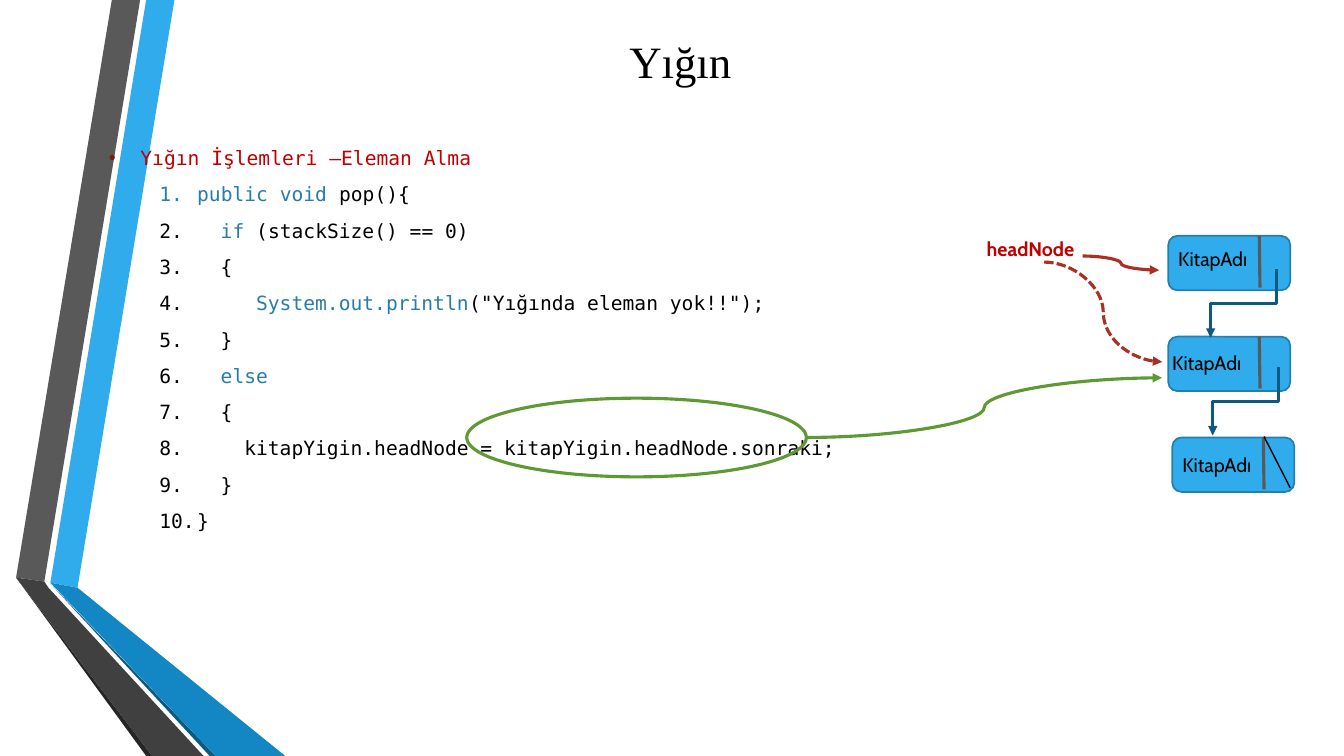
from dataclasses import dataclass

from lxml import etree
from pptx import Presentation
from pptx.dml.color import RGBColor
from pptx.enum.dml import MSO_LINE
from pptx.enum.shapes import MSO_CONNECTOR, MSO_SHAPE
from pptx.enum.text import MSO_ANCHOR, MSO_AUTO_SIZE, PP_ALIGN
from pptx.oxml.ns import qn
from pptx.util import Pt

LINE, BENT, CURVE = MSO_CONNECTOR.STRAIGHT, MSO_CONNECTOR.ELBOW, MSO_CONNECTOR.CURVE
DASH = MSO_LINE.SQUARE_DOT
ROUND, OVAL = MSO_SHAPE.ROUNDED_RECTANGLE, MSO_SHAPE.OVAL
MIDDLE, TOP = MSO_ANCHOR.MIDDLE, MSO_ANCHOR.TOP
CENTER, JUSTIFY = PP_ALIGN.CENTER, PP_ALIGN.JUSTIFY
FIXED = MSO_AUTO_SIZE.NONE


@dataclass(frozen=True)
class Theme:
    black: str = "000000"
    red: str = "C00000"
    rust: str = "A93023"
    wine: str = "712018"
    green: str = "5F9934"
    word: str = "277DA9"
    sky: str = "30ACEC"
    edge: str = "247FAF"
    blue: str = "1287C3"
    navy: str = "0C5A82"
    gray: str = "595959"
    dark: str = "404040"
    coal: str = "262626"
    serif: str = "Times New Roman"
    mono: str = "DejaVu Sans Mono"
    sans: str = "Cabin"
    head: float = 32
    text: float = 14
    thin: float = 1
    rim: float = 1.25
    bold: float = 2.25


T = Theme()

BANDS = [
    (T.sky, [(36, 416.2), (55.4, 419.8), (124.6, 0), (104.4, 0)]),
    (T.gray, [(100.1, 0), (79.9, 0), (11.5, 412.6), (31.7, 415.4)]),
    (T.coal, [(11.5, 412.6), (104.4, 540), (108.7, 540)]),
    (T.navy, [(36, 416.9), (149.8, 540), (154.1, 540)]),
    (T.blue, [(36, 416.2), (154.1, 540), (203.8, 540), (55.4, 419.8)]),
    (T.dark, [(145.4, 540), (34.6, 419.8), (31.7, 415.4), (11.5, 412.6), (108.7, 540)]),
]

CODE = [
    (0, [("public void ", T.word), ("pop(){", T.black)]),
    (2, [("if ", T.word), ("(stackSize() == 0)", T.black)]),
    (2, [("{", T.black)]),
    (5, [("System.out.println", T.word), ('("Yığında eleman yok!!");', T.black)]),
    (2, [("}", T.black)]),
    (2, [("else", T.word)]),
    (2, [("{", T.black)]),
    (4, [("kitapYigin.headNode = kitapYigin.headNode.sonraki;", T.black)]),
    (2, [("}", T.black)]),
    (0, [("}", T.black)]),
]

NODES = [
    (144.5, (0, 4.3), (77, 23.8)),
    (144.5, (-4.3, 6.5), (78.5, 21.6)),
    (147.4, (0, 7.2), None),
]


def rgb(code):
    return RGBColor.from_string(code)


def say(par, text, color=T.black, size=T.text, face=T.sans, bold=False):
    run = par.add_run()
    run.text = text
    font = run.font
    font.size, font.name, font.bold = Pt(size), face, bold
    font.color.rgb = rgb(color)


def place(shape, box):
    shape.left, shape.top, shape.width, shape.height = map(Pt, box)


def label(slide, box, text, **style):
    item = slide.shapes.add_textbox(*map(Pt, box))
    item.text_frame.word_wrap = True
    say(item.text_frame.paragraphs[0], text, **style)


def paint(shape, fill=None, line=None, width=T.rim):
    shape.shadow.inherit = False
    if fill:
        shape.fill.solid()
        shape.fill.fore_color.rgb = rgb(fill)
    else:
        shape.fill.background()
    if line:
        shape.line.color.rgb = rgb(line)
        shape.line.width = Pt(width)
    else:
        shape.line.fill.background()


def link(slide, kind, start, end, color, width=T.bold, arrow=True, dash=None, turn=False):
    if turn:
        mid = [(a + b) / 2 for a, b in zip(start, end)]
        half = [abs(end[1] - start[1]) / 2, abs(end[0] - start[0]) / 2]
        start = [m - h for m, h in zip(mid, half)]
        end = [m + h for m, h in zip(mid, half)]
    wire = slide.shapes.add_connector(kind, *map(Pt, (*start, *end)))
    wire.line.color.rgb = rgb(color)
    wire.line.width = Pt(width)
    if dash:
        wire.line.dash_style = dash
    props = wire.element.spPr
    if turn:
        props.find(qn("a:xfrm")).set("rot", "5400000")
    if arrow:
        etree.SubElement(props.find(qn("a:ln")), qn("a:tailEnd"), type="triangle")
    etree.SubElement(props, qn("a:effectLst"))


def bullet(par, left, hang, color, face, tag, **attrs):
    par.alignment = JUSTIFY
    par.line_spacing = 1.5
    par.space_before, par.space_after = Pt(0.75), Pt(0)
    props = par._p.get_or_add_pPr()
    props.set("marL", str(Pt(left)))
    props.set("indent", str(-Pt(hang)))
    tint = etree.SubElement(props, qn("a:buClr"))
    etree.SubElement(tint, qn("a:srgbClr"), val=color)
    etree.SubElement(props, qn("a:buFont"), typeface=face)
    etree.SubElement(props, qn(tag), **attrs)


def bands(slide, box):
    for color, dots in BANDS:
        spots = [(Pt(box[0] + x), Pt(box[1] + y)) for x, y in dots]
        pen = slide.shapes.build_freeform(*spots[0])
        pen.add_line_segments(spots[1:], close=True)
        paint(pen.convert_to_shape(), color)


def title(slide, box):
    item = slide.shapes.title
    slide.shapes.element.append(item.element)
    place(item, box)
    frame = item.text_frame
    frame.vertical_anchor, frame.auto_size = MIDDLE, FIXED
    par = frame.paragraphs[0]
    par.alignment = CENTER
    say(par, "Yığın", size=T.head, face=T.serif)


def code(slide, box):
    item = slide.placeholders[1]
    slide.shapes.element.append(item.element)
    place(item, box)
    frame = item.text_frame
    frame.vertical_anchor, frame.auto_size = TOP, FIXED
    par = frame.paragraphs[0]
    bullet(par, 22.5, 22.5, T.wine, "Arial", "a:buChar", char="•")
    say(par, "Yığın İşlemleri –Eleman Alma", color=T.red, face=T.mono)
    for row, (depth, parts) in enumerate(CODE):
        par = frame.add_paragraph()
        par.level = 1
        shift = depth * 8.43
        tint = T.black if row else T.word
        bullet(par, 63 + shift, 27 + shift, tint, T.mono, "a:buAutoNum", type="arabicPeriod")
        for text, color in parts:
            say(par, text, color=color, face=T.mono)


def graph(slide, box):
    left, top = box[:2]
    for row, (dx, tag, jump) in enumerate(NODES):
        x, y = left + dx, top + 8.5 + row * 72
        node = slide.shapes.add_shape(ROUND, *map(Pt, (x, y, 87.1, 38.9)))
        paint(node, T.sky, T.edge)
        link(slide, LINE, (x + 65, y), (x + 65.5, y + 37), T.gray, arrow=False)
        label(slide, (x + tag[0], y + tag[1], 71.3, 24.5), "KitapAdı")
        if not jump:
            link(slide, LINE, (x + 84.2, y + 36), (x + 65.5, y - 0.7), T.black, T.thin, arrow=False)
    for row, (dx, tag, jump) in enumerate(NODES):
        if jump:
            x, y = left + dx + jump[0], top + 8.5 + row * 72 + jump[1]
            link(slide, BENT, (x, y), (x - 46.8, y + 48.9), T.navy, turn=True)
    label(slide, (left + 7.7, top + 5.6, 78.5, 24.5), "headNode", color=T.red, bold=True)
    link(slide, CURVE, (left + 55.9, top + 27.2), (left + 140.2, top + 98.5), T.rust, dash=DASH)
    link(slide, CURVE, (left + 83.3, top + 22.9), (left + 138, top + 33), T.rust)


def mark(slide, box):
    left, top, wide, high = box
    ring = slide.shapes.add_shape(OVAL, *map(Pt, box))
    paint(ring, None, T.green, T.bold)
    x, y = left + wide, top + high / 2
    link(slide, CURVE, (x, y), (x + 254, y - 42.6), T.green)


def main():
    deck = Presentation()
    deck.slide_width, deck.slide_height = Pt(960), Pt(540)
    slide = deck.slides.add_slide(deck.slide_layouts[1])
    bands(slide, (0, 0, 204, 540))
    title(slide, (281.5, 5.8, 409, 74.9))
    code(slide, (70.6, 92.2, 640, 437))
    graph(slide, (690, 160, 250, 200))
    mark(slide, (333.4, 284.4, 242.6, 56.2))
    deck.save("out.pptx")


if __name__ == "__main__":
    main()
